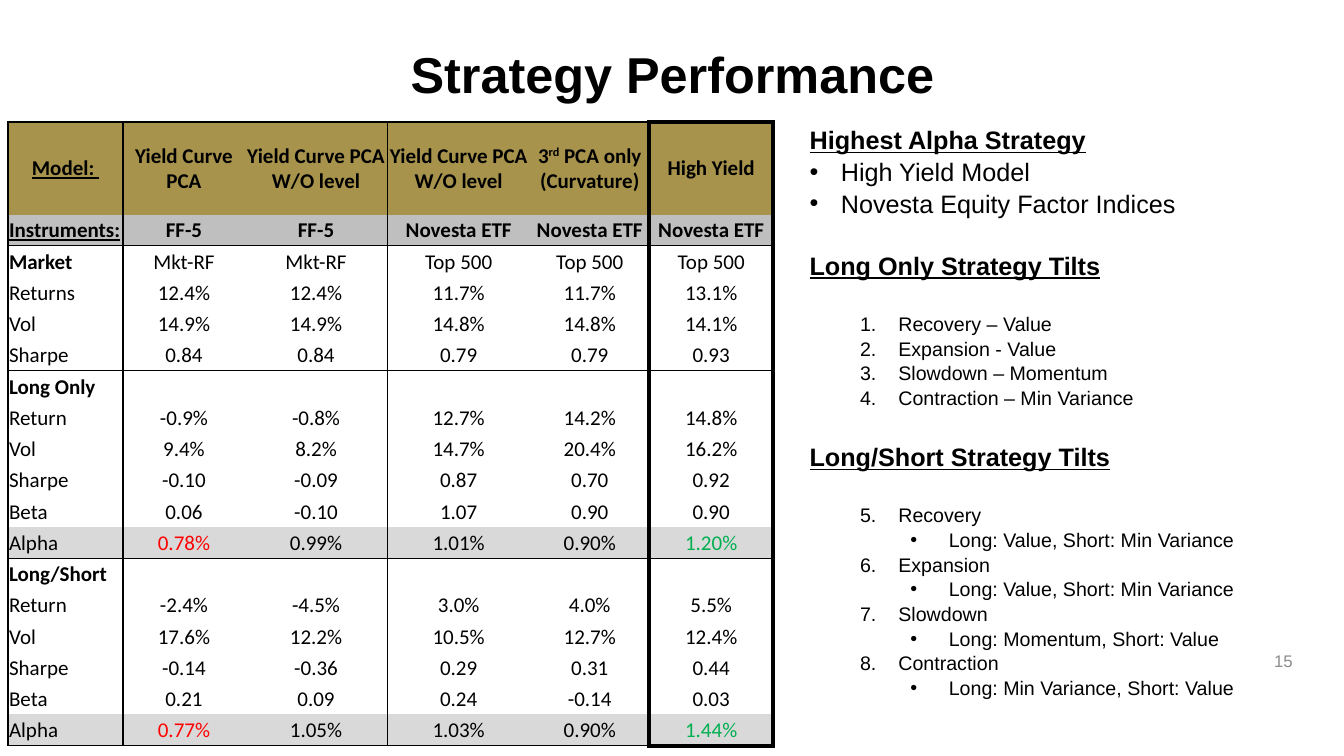
from lxml.etree import SubElement
from pptx import Presentation
from pptx.dml.color import RGBColor
from pptx.enum.text import MSO_ANCHOR as Anchor, MSO_AUTO_SIZE as AutoSize, PP_ALIGN as Align
from pptx.oxml.ns import qn
from pptx.util import Emu, Pt

PX = 9144  # 100 px to the inch
COLORS = {
    "black": "000000", "white": "FFFFFF", "gold": "A7934B", "instrument": "BFBFBF",
    "alpha": "D9D9D9", "low": "FF0000", "high": "00B050", "number": "8C8C8C",
}
COL_WIDTHS = [114, 121, 141, 142, 118, 123]
HEADER_HEIGHT, ROW_HEIGHT = 92, 31
ROWS = [line.split("|") for line in """\
Model: |Yield Curve PCA|Yield Curve PCA W/O level|Yield Curve PCA W/O level|3^rd^ PCA only (Curvature)|High Yield
Instruments:|FF-5|FF-5|Novesta ETF|Novesta ETF|Novesta ETF
Market|Mkt-RF|Mkt-RF|Top 500|Top 500|Top 500
Returns|12.4%|12.4%|11.7%|11.7%|13.1%
Vol|14.9%|14.9%|14.8%|14.8%|14.1%
Sharpe|0.84|0.84|0.79|0.79|0.93
Long Only|||||
Return|-0.9%|-0.8%|12.7%|14.2%|14.8%
Vol|9.4%|8.2%|14.7%|20.4%|16.2%
Sharpe|-0.10|-0.09|0.87|0.70|0.92
Beta|0.06|-0.10|1.07|0.90|0.90
Alpha|0.78%|0.99%|1.01%|0.90%|1.20%
Long/Short|||||
Return|-2.4%|-4.5%|3.0%|4.0%|5.5%
Vol|17.6%|12.2%|10.5%|12.7%|12.4%
Sharpe|-0.14|-0.36|0.29|0.31|0.44
Beta|0.21|0.09|0.24|-0.14|0.03
Alpha|0.77%|1.05%|1.03%|0.90%|1.44%""".split("\n")]
SECTIONS = ("Market", "Long Only", "Long/Short")
ROW_FILLS = {"Model: ": "gold", "Instruments:": "instrument", "Alpha": "alpha"}
ALPHA_COLORS = {1: "low", 5: "high"}
BEST_COL = 5
COLUMN_RULES = {0: 1, 1: 1, 3: 1, 5: 3, 6: 3}  # column edge: points
ROW_RULES = (0, 2, 6, 12, len(ROWS))

# kind: level, left indent, hanging indent, size
LIST_KINDS = {
    "head": (0, 0, 0, 18), "point": (0, 31, 31, 18),
    "number": (1, 88, 38, 14), "detail": (2, 138, 38, 14),
}
BLANK_LINE = 21.7
TILTS = [
    ("Recovery", "Long: Value, Short: Min Variance"),
    ("Expansion", "Long: Value, Short: Min Variance"),
    ("Slowdown", "Long: Momentum, Short: Value"),
    ("Contraction", "Long: Min Variance, Short: Value"),
]


def px(n):
    return Emu(n * PX)


def rgb(name):
    return RGBColor.from_string(COLORS[name])


def place(s, x, y, w, h):
    s.left, s.top, s.width, s.height = px(x), px(y), px(w), px(h)


def add_run(p, text, size, font="Arial", color="black", bold=False, underline=False):
    r = p.add_run()
    r.text = text
    r.font.name, r.font.size = font, Pt(size)
    r.font.bold, r.font.underline = bold, underline
    r.font.color.rgb = rgb(color)
    return r


def add_title(slide, text):
    s = slide.shapes.title
    place(s, 201, 38, 932, 71)
    tf = s.text_frame
    tf.auto_size, tf.vertical_anchor = AutoSize.NONE, Anchor.TOP
    p = tf.paragraphs[0]
    p.alignment = Align.CENTER
    add_run(p, text, 36, bold=True)


def add_slide_number(slide, text):
    s = slide.shapes.add_textbox(px(992), px(636), px(300), px(40))
    tf = s.text_frame
    tf.word_wrap, tf.vertical_anchor = True, Anchor.MIDDLE
    p = tf.paragraphs[0]
    p.alignment = Align.RIGHT
    add_run(p, text, 12, color="number")


def add_item(tf, kind, text, blanks=0, start=1):
    """Add a list paragraph after the given number of blank lines' space."""
    level, left, hang, size = LIST_KINDS[kind]
    p = tf.add_paragraph() if tf.paragraphs[0].runs else tf.paragraphs[0]
    p.level = level
    pPr = p._p.get_or_add_pPr()
    pPr.set("marL", str(px(left)))
    pPr.set("indent", str(px(-hang)))
    if kind == "head":
        SubElement(pPr, qn("a:buNone"))
    else:
        SubElement(pPr, qn("a:buFont"), typeface="Arial")
        if kind == "number":
            SubElement(pPr, qn("a:buAutoNum"), type="arabicPeriod", startAt=str(start))
        else:
            SubElement(pPr, qn("a:buChar"), char="•")
    p.alignment, p.line_spacing = Align.LEFT, 1.05
    p.space_before, p.space_after = Pt(blanks * BLANK_LINE), Pt(0)
    add_run(p, text, size, bold=kind == "head", underline=kind == "head")


def add_strategy_notes(slide):
    s = slide.placeholders[1]
    place(s, 793, 117, 487, 609)
    tf = s.text_frame
    tf.auto_size, tf.vertical_anchor = AutoSize.NONE, Anchor.TOP
    add_item(tf, "head", "Highest Alpha Strategy")
    add_item(tf, "point", "High Yield Model")
    add_item(tf, "point", "Novesta Equity Factor Indices")
    add_item(tf, "head", "Long Only Strategy Tilts", blanks=1)
    long_only = ["Recovery – Value", "Expansion - Value",
                 "Slowdown – Momentum", "Contraction – Min Variance"]
    for i, text in enumerate(long_only):
        add_item(tf, "number", text, blanks=int(i == 0))
    add_item(tf, "head", "Long/Short Strategy Tilts", blanks=1)
    for i, (phase, tilt) in enumerate(TILTS):
        add_item(tf, "number", phase, blanks=int(i == 0), start=len(long_only) + 1)
        add_item(tf, "detail", tilt)


def set_borders(cell, row, col):
    def row_rule(edge):
        outer = edge in (0, len(ROWS))
        return (3 if outer and col == BEST_COL else 1) if edge in ROW_RULES else 0

    widths = {
        "lnL": COLUMN_RULES.get(col, 0), "lnR": COLUMN_RULES.get(col + 1, 0),
        "lnT": row_rule(row), "lnB": row_rule(row + 1),
    }
    tcPr = cell._tc.get_or_add_tcPr()
    for side, width in widths.items():
        ln = SubElement(tcPr, qn(f"a:{side}"), w=str(Pt(width)))
        if width:
            fill = SubElement(ln, qn("a:solidFill"))
            SubElement(fill, qn("a:srgbClr"), val=COLORS["black"])
        else:
            SubElement(ln, qn("a:noFill"))


def fill_cell(cell, row, col, text):
    label = ROWS[row][0]
    cell.margin_left = cell.margin_right = cell.margin_top = px(1)
    cell.margin_bottom = 0
    cell.vertical_anchor = Anchor.MIDDLE
    set_borders(cell, row, col)
    cell.fill.solid()
    cell.fill.fore_color.rgb = rgb(ROW_FILLS.get(label, "white"))
    p = cell.text_frame.paragraphs[0]
    p.alignment = Align.LEFT if col == 0 and row > 0 else Align.CENTER
    bold = row < 2 or (col == 0 and label in SECTIONS)
    color = ALPHA_COLORS.get(col, "black") if label == "Alpha" else "black"
    for i, part in enumerate(text.split("^")):  # odd parts are superscript
        r = add_run(p, part, 15, "Calibri", color, bold, underline=row < 2 and col == 0)
        if i % 2:
            r._r.get_or_add_rPr().set("baseline", "30000")


def add_performance_table(slide):
    height = HEADER_HEIGHT + ROW_HEIGHT * (len(ROWS) - 1)
    s = slide.shapes.add_table(len(ROWS), len(COL_WIDTHS), px(8), px(121),
                               px(sum(COL_WIDTHS)), px(height))
    table = s.table
    table.first_row = table.horz_banding = False
    for column, width in zip(table.columns, COL_WIDTHS):
        column.width = px(width)
    for row, texts in enumerate(ROWS):
        table.rows[row].height = px(ROW_HEIGHT if row else HEADER_HEIGHT)
        for col, text in enumerate(texts):
            fill_cell(table.cell(row, col), row, col, text)


def main():
    prs = Presentation()
    prs.slide_width, prs.slide_height = px(1333), px(750)
    slide = prs.slides.add_slide(prs.slide_layouts[1])
    add_title(slide, "Strategy Performance")
    add_slide_number(slide, "15")
    add_strategy_notes(slide)
    add_performance_table(slide)
    prs.save("out.pptx")


if __name__ == "__main__":
    main()
